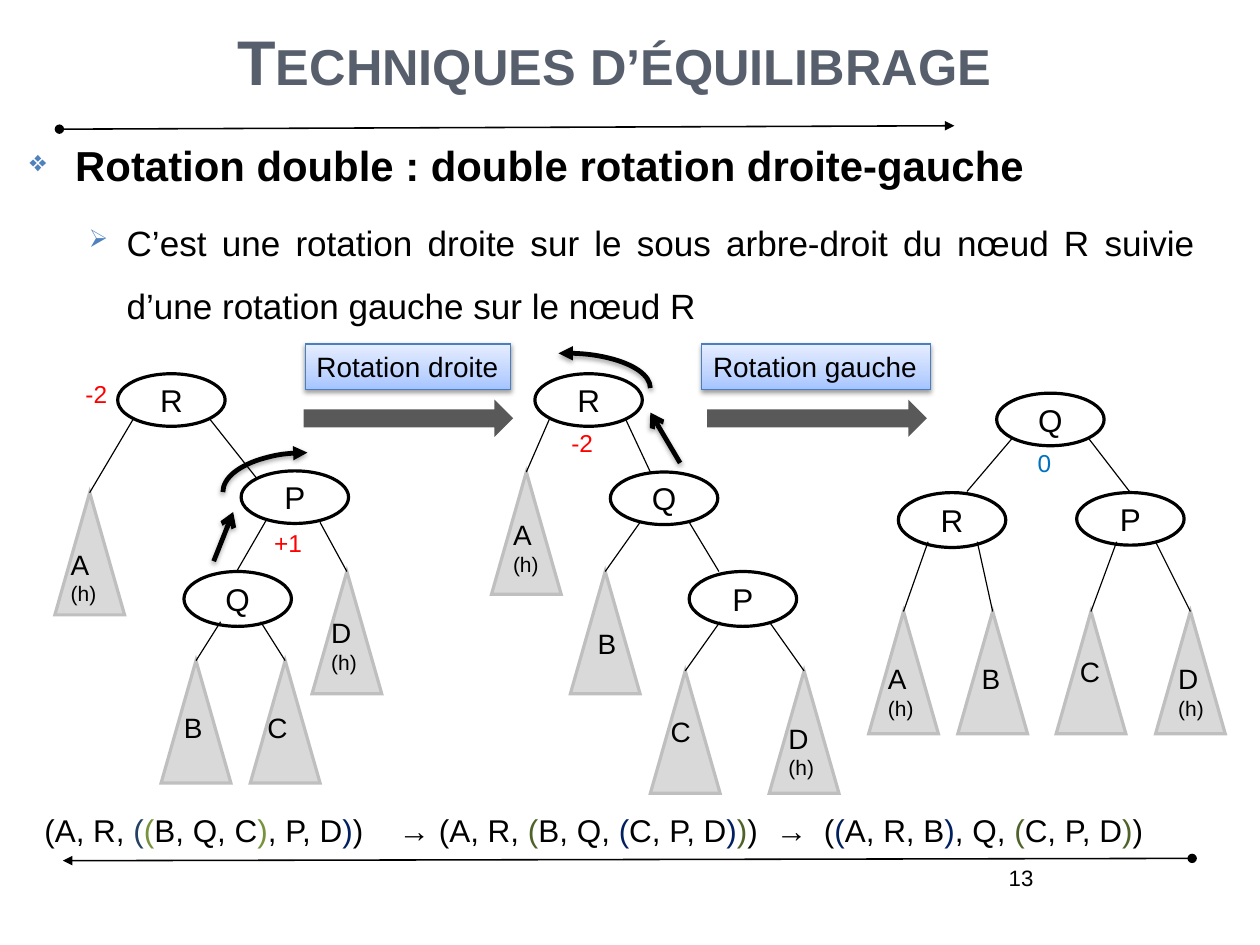
from copy import deepcopy
from dataclasses import dataclass, field
from typing import Any

from lxml import etree
from pptx import Presentation
from pptx.dml.color import RGBColor
from pptx.enum.shapes import MSO_CONNECTOR, MSO_SHAPE
from pptx.enum.text import MSO_ANCHOR, PP_ALIGN
from pptx.oxml.ns import qn
from pptx.util import Inches, Pt

STRAIGHT = MSO_CONNECTOR.STRAIGHT
ARC, OVAL, TRIANGLE = MSO_SHAPE.ARC, MSO_SHAPE.OVAL, MSO_SHAPE.ISOSCELES_TRIANGLE
RECTANGLE, RIGHT_ARROW = MSO_SHAPE.RECTANGLE, MSO_SHAPE.RIGHT_ARROW
LEFT, CENTER, RIGHT, JUSTIFY = PP_ALIGN.LEFT, PP_ALIGN.CENTER, PP_ALIGN.RIGHT, PP_ALIGN.JUSTIFY
TOP, MIDDLE, BOTTOM = MSO_ANCHOR.TOP, MSO_ANCHOR.MIDDLE, MSO_ANCHOR.BOTTOM

BLACK, WHITE, RED, BLUE = "000000", "FFFFFF", "FF0000", "0070C0"
NAVY, STEEL, LIME, OLIVE = "002060", "254061", "77933C", "4F6228"
GRADIENT = [(0, "A4C4FF"), (0.35, "BFD4FF"), (1, "E6EEFF")]
LEAF_WIDTH, LEAF_HEIGHT = 0.61, 1.07

Point = tuple[float, float]
Box = tuple[float, float, float, float]


@dataclass
class Span:
    text: str
    size: float
    color: str = BLACK
    bold: bool = False
    small_caps: bool = False


@dataclass
class Line:
    spans: list[Span]
    format: dict[str, Any] = field(default_factory=dict)
    bullet: str = ""
    margin: float = 0
    indent: float = 0
    tabs: tuple[float, ...] = ()


@dataclass
class Node:
    label: str
    left: float
    top: float
    height: float = 0.46


@dataclass
class Leaf:
    label: str
    left: float
    top: float
    parent: Point
    caption: Point


@dataclass
class Balance:
    text: str
    at: Point
    color: str = RED


@dataclass
class Turn:
    box: Box
    swing: tuple[Point, Point]
    mirrored: bool = False
    start_angle: float = 162


@dataclass
class Tree:
    nodes: list[Node]
    branches: list[tuple[Point, Point]]
    leaves: list[Leaf]
    balances: list[Balance]
    turn: Turn | None = None


TREES = [
    Tree([Node("P", 2.11, 4.12), Node("Q", 1.61, 5, 0.48), Node("R", 1.03, 3.27)],
         [((1.83, 3.66), (2.25, 4.19)), ((2.33, 4.55), (2.07, 5))],
         [Leaf("A", 0.48, 4.31, (1.17, 3.66), (0.52, 4.74)),
          Leaf("B", 1.41, 5.78, (1.93, 5.44), (1.51, 6.17)),
          Leaf("C", 2.19, 5.78, (2.28, 5.44), (2.24, 6.17)),
          Leaf("D", 2.73, 5, (2.8, 4.57), (2.8, 5.34))],
         [Balance("+1", (2.3, 4.57)), Balance("-2", (0.65, 3.27))],
         Turn((1.95, 3.96, 1.48, 0.69), ((1.87, 4.91), (2.04, 4.48)), mirrored=True)),
    Tree([Node("Q", 5.34, 4.13), Node("P", 6.03, 5, 0.48), Node("R", 4.68, 3.27)],
         [((5.47, 3.66), (5.69, 4.13)), ((6.03, 4.57), (6.29, 5))],
         [Leaf("A", 4.3, 4.13, (4.81, 3.66), (4.39, 4.48)),
          Leaf("B", 4.99, 5, (5.6, 4.57), (5.13, 5.43)),
          Leaf("C", 5.69, 5.87, (6.3, 5.44), (5.77, 6.2)),
          Leaf("D", 6.73, 5.87, (6.73, 5.44), (6.8, 6.26))],
         [Balance("-2", (4.9, 3.7))],
         Turn((4.21, 3.09, 1.48, 0.61), ((5.95, 4.05), (5.69, 3.61)), start_angle=154.9)),
    Tree([Node("Q", 8.72, 3.44), Node("R", 7.86, 4.31, 0.48), Node("P", 9.42, 4.31)],
         [((8.86, 3.83), (8.46, 4.3)), ((9.52, 3.83), (9.89, 4.31))],
         [Leaf("A", 7.6, 5.35, (8.12, 4.74), (7.67, 5.74)),
          Leaf("B", 8.38, 5.35, (8.55, 4.74), (8.49, 5.74)),
          Leaf("C", 9.24, 5.35, (9.77, 4.74), (9.35, 5.68)),
          Leaf("D", 10.11, 5.35, (10.11, 4.74), (10.21, 5.74))],
         [Balance("0", (8.98, 3.87), BLUE)]),
]
STEPS = [("Rotation droite", (2.67, 3.01, 1.8, 0.4), (2.67, 3.53, 1.8, 0.26)),
         ("Rotation gauche", (6.14, 3.01, 2, 0.4), (6.2, 3.53, 1.89, 0.26))]
FORMULA = [
    ("(A, R, ", BLACK), ("(", STEEL), ("(", LIME), ("B, Q, C", BLACK), (")", LIME),
    (", P, D", BLACK), (")", NAVY), (")\t→ (A, R, ", BLACK), ("(", OLIVE), ("B, Q, ", BLACK),
    ("(", NAVY), ("C, P, D", BLACK), (")", NAVY), (")", OLIVE), (")\t→\t(", BLACK),
    ("(", NAVY), ("A, R, B", BLACK), (")", NAVY), (", Q, ", BLACK), ("(", OLIVE),
    ("C, P, D", BLACK), (")", OLIVE), (")", BLACK),
]


def rgb(color: str) -> RGBColor:
    return RGBColor.from_string(color)


def set_format(target: Any, values: dict[str, Any]) -> None:
    for name, value in values.items():
        setattr(target, name, value)


def add_element(parent: Any, tag: str, **attributes: Any) -> Any:
    return etree.SubElement(parent, qn(tag), {key: str(value) for key, value in attributes.items()})


def write_lines(shape: Any, lines: list[Line], anchor: Any = TOP, wrap: bool = True) -> None:
    frame = shape.text_frame
    set_format(frame, {"word_wrap": wrap, "vertical_anchor": anchor})
    for index, line in enumerate(lines):
        paragraph = frame.add_paragraph() if index else frame.paragraphs[0]
        properties = paragraph._p.get_or_add_pPr()
        if line.bullet:
            properties.set("marL", str(Inches(line.margin)))
            properties.set("indent", str(Inches(line.indent)))
            add_element(add_element(properties, "a:buClr"), "a:srgbClr", val="4F81BD")
            add_element(properties, "a:buSzPct", val=70000)
            add_element(properties, "a:buChar", char=line.bullet)
        if line.tabs:
            stops = add_element(properties, "a:tabLst")
            for position in line.tabs:
                add_element(stops, "a:tab", pos=Inches(position), algn="l")
        set_format(paragraph, {"alignment": LEFT, **line.format})
        for span in line.spans:
            run = paragraph.add_run()
            run.text = span.text
            set_format(run.font, {"name": "Arial", "size": Pt(span.size), "bold": span.bold})
            run.font.color.rgb = rgb(span.color)
            if span.small_caps:
                run._r.get_or_add_rPr().set("cap", "small")


def add_text(shapes: Any, box: Box, lines: list[Line], anchor: Any = TOP) -> None:
    write_lines(shapes.add_textbox(*map(Inches, box)), lines, anchor)


def set_line(shape: Any, color: str, width: float, head: str = "", tail: str = "") -> None:
    shape.line.color.rgb = rgb(color)
    shape.line.width = Pt(width)
    outline = shape.element.spPr.find(qn("a:ln"))
    add_element(outline, "a:miter", lim=800000)
    for tag, end in (("a:headEnd", head), ("a:tailEnd", tail)):
        if end:
            add_element(outline, tag, type=end)


def add_shadow(effects: Any, alpha: int, distance: float) -> None:
    shadow = add_element(effects, "a:outerShdw", blurRad=Pt(3.1), dist=Pt(distance),
                         dir=5400000, rotWithShape=0)
    add_element(add_element(shadow, "a:srgbClr", val=BLACK), "a:alpha", val=alpha * 1000)


def add_line(shapes: Any, start: Point, end: Point, width: float = 0.75,
             head: str = "", tail: str = "", shadow: bool = False) -> None:
    connector = shapes.add_connector(STRAIGHT, *map(Inches, start + end))
    set_line(connector, BLACK, width, head, tail)
    effects = add_element(connector.element.spPr, "a:effectLst")
    if shadow:
        add_shadow(effects, 35, 1.8)


def add_figure(shapes: Any, kind: Any, box: Box, fill: str, line: str, width: float,
               head: str = "") -> Any:
    shape = shapes.add_shape(kind, *map(Inches, box))
    shape.shadow.inherit = False
    if fill:
        shape.fill.solid()
        shape.fill.fore_color.rgb = rgb(fill)
    else:
        shape.fill.background()
    set_line(shape, line, width, head)
    return shape


def add_step(shapes: Any, label: str, label_box: Box, arrow_box: Box) -> None:
    add_figure(shapes, RIGHT_ARROW, arrow_box, "595959", "595959", 2)
    shape = add_figure(shapes, RECTANGLE, label_box, WHITE, "4B7EBC", 0.75)
    shape.fill.gradient()
    shape.fill.gradient_angle = 90
    stops = shape.element.spPr.find(".//" + qn("a:gsLst"))
    stops.append(deepcopy(stops[0]))
    for stop, (position, color) in zip(shape.fill.gradient_stops, GRADIENT):
        stop.position = position
        stop.color.rgb = rgb(color)
    add_shadow(shape.element.spPr.find(qn("a:effectLst")), 38, 1.6)
    write_lines(shape, [Line([Span(label, 17.6)])], wrap=False)


def add_turn(shapes: Any, turn: Turn) -> None:
    arc = add_figure(shapes, ARC, turn.box, "", BLACK, 3, head="triangle")
    arc.adjustments[0] = turn.start_angle
    if turn.mirrored:
        arc.element.spPr.find(qn("a:xfrm")).set("flipH", "1")
    add_shadow(arc.element.spPr.find(qn("a:effectLst")), 35, 1.8)
    add_line(shapes, *turn.swing, width=3, tail="arrow", shadow=True)


def add_tree(shapes: Any, tree: Tree) -> None:
    if tree.turn:
        add_turn(shapes, tree.turn)
    for leaf in tree.leaves:
        add_figure(shapes, TRIANGLE, (leaf.left, leaf.top, LEAF_WIDTH, LEAF_HEIGHT), "D9D9D9", "BFBFBF", 2)
    for node in tree.nodes:
        shape = add_figure(shapes, OVAL, (node.left, node.top, 0.94, node.height), WHITE, BLACK, 2)
        write_lines(shape, [Line([Span(node.label, 19.8)], {"alignment": CENTER})], MIDDLE)
    for start, end in tree.branches:
        add_line(shapes, start, end)
    for leaf in tree.leaves:
        add_line(shapes, leaf.parent, (leaf.left + LEAF_WIDTH / 2, leaf.top))
        lines = [Line([Span(leaf.label, 17.6)])]
        if leaf.label in "AD":
            lines.append(Line([Span("(h)", 13.2)]))
        add_text(shapes, (*leaf.caption, 0.47, 0.62 if len(lines) > 1 else 0.4), lines)
    for balance in tree.balances:
        add_text(shapes, (*balance.at, 0.5, 0.36), [Line([Span(balance.text, 15.4, balance.color)])])


def main() -> None:
    presentation = Presentation()
    presentation.slide_width = Inches(28 / 2.54)
    presentation.slide_height = Inches(21 / 2.54)
    slide = presentation.slides.add_slide(presentation.slide_layouts[6])
    shapes = slide.shapes
    add_line(shapes, (0.52, 1.13), (8.35, 1.1), 1, "oval", "triangle")
    add_line(shapes, (10.43, 7.51), (0.55, 7.53), 1, "oval", "triangle")
    add_text(shapes, (6.57, 7.51, 2.57, 0.57), [Line([Span("13", 14)], {"alignment": RIGHT})])
    title = Span("Techniques d’équilibrage", 39.7, "575F6D", bold=True, small_caps=True)
    add_text(shapes, (0.55, -0.9, 9.65, 1.81),
             [Line([title], {"alignment": CENTER, "line_spacing": 1.5})], BOTTOM)
    body = {"alignment": JUSTIFY, "line_spacing": 1.5}
    heading = Span("Rotation double : double rotation droite-gauche", 26.4, bold=True)
    detail = Span("C’est une rotation droite sur le sous arbre-droit du nœud R suivie "
                  "d’une rotation gauche sur le nœud R", 22.1)
    add_text(shapes, (0.13, 0.95, 10.42, 7.32), [
        Line([heading], body, "❖", 0.43, -0.4),
        Line([detail], {**body, "level": 1, "space_before": Pt(6.6)}, "➢", 0.88, -0.33)])
    for step in STEPS:
        add_step(shapes, *step)
    formula = [Span(text, 19.8, color) for text, color in FORMULA]
    add_text(shapes, (0.29, 7.05, 10.63, 0.43), [Line(formula, tabs=(3.1, 6.4, 6.82))])
    for tree in TREES:
        add_tree(shapes.add_group_shape().shapes, tree)
    presentation.save("out.pptx")


if __name__ == "__main__":
    main()
